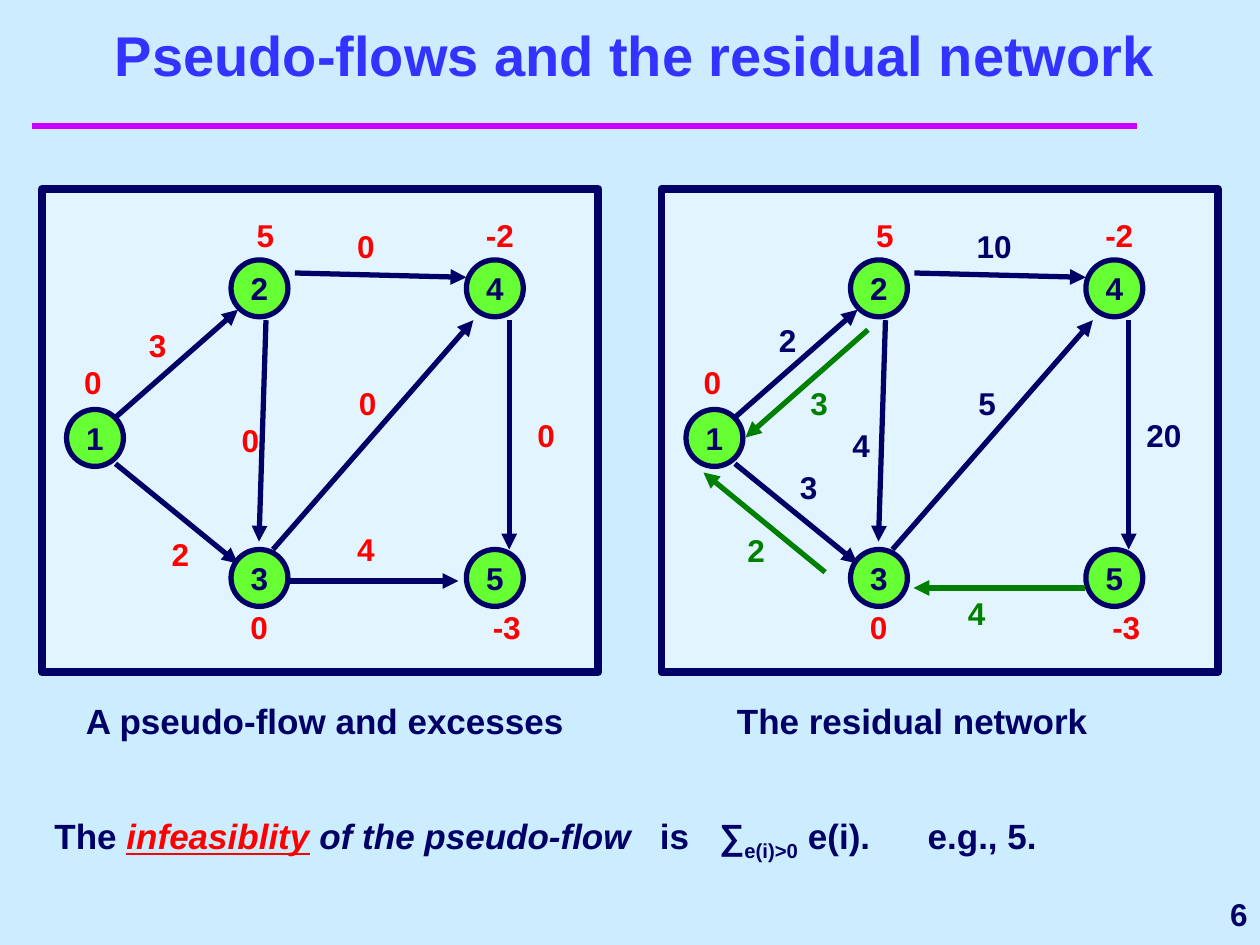
"""Build a slide comparing a pseudo-flow with its residual network."""
from lxml import etree
from pptx import Presentation
from pptx.dml.color import RGBColor
from pptx.enum.shapes import MSO_CONNECTOR, MSO_SHAPE
from pptx.enum.text import MSO_ANCHOR, PP_ALIGN
from pptx.oxml.ns import qn
from pptx.util import Pt

STRAIGHT = MSO_CONNECTOR.STRAIGHT
RECTANGLE, OVAL = MSO_SHAPE.RECTANGLE, MSO_SHAPE.OVAL
LEFT, CENTER, RIGHT = PP_ALIGN.LEFT, PP_ALIGN.CENTER, PP_ALIGN.RIGHT
TOP, MIDDLE, BOTTOM = MSO_ANCHOR.TOP, MSO_ANCHOR.MIDDLE, MSO_ANCHOR.BOTTOM

FONT = "Arial"
COLORS = {
    "background": "CCECFF", "title": "3333FF", "rule": "CC00FF",
    "panel": "E2F4FF", "node": "66FF33", "navy": "000066",
    "red": "FF0000", "green": "008000",
}
PANEL_OFFSET = 354
NODE_SIZE = 32.5
NODES = {"1": (38, 234), "2": (132, 148.5), "3": (132, 314),
         "4": (266.5, 148.5), "5": (266.5, 314)}
EXCESSES = [("0", 41, 204), ("5", 139.5, 120), ("-2", 270.5, 120),
            ("0", 136, 344), ("-3", 274.5, 344)]
SHARED_ARCS = [
    (66, 238.5, 136, 177), (168.5, 156, 266.5, 158.5),
    (291, 183, 291, 314), (156, 314, 270.5, 183),
    (66, 265, 136, 322), (152, 183, 148, 309.5),
]
FLOW_ARCS = [(164, 332, 262, 332)]
REVERSE_ARCS = [(117.5, 327, 48, 270), (142, 188.5, 72, 250),
                (266, 336, 168, 336)]
FLOWS = [("0", 197, 126), ("0", 300, 234), ("0", 198, 216),
         ("4", 197, 299.5), ("0", 131, 237), ("2", 91, 302),
         ("3", 78, 183)]
RESIDUALS = [("10", 197, 126), ("20", 294, 234), ("5", 198, 216),
             ("4", 126, 240), ("3", 96, 264), ("2", 84, 180)]
REVERSE_RESIDUALS = [("4", 192, 336), ("2", 66, 300), ("3", 102, 216)]


def rgb(name):
    """Return a palette colour."""
    return RGBColor.from_string(COLORS[name])


def add_run(paragraph, text, size, color="navy", italic=False, underline=False):
    """Append one bold run and return it."""
    run = paragraph.add_run()
    run.text = text
    font = run.font
    font.name, font.size, font.bold = FONT, Pt(size), True
    font.italic, font.underline = italic, underline
    font.color.rgb = rgb(color)
    return run


def prepare_text(shape, alignment=LEFT, anchor=TOP, wrap=True):
    """Set up a text frame and return its first paragraph."""
    frame = shape.text_frame
    frame.word_wrap, frame.vertical_anchor = wrap, anchor
    frame.margin_left = frame.margin_right = Pt(7.2)
    frame.margin_top = frame.margin_bottom = Pt(3.6)
    paragraph = frame.paragraphs[0]
    paragraph.alignment = alignment
    paragraph.space_before = Pt(0)
    return paragraph


def add_text(shapes, text, box, size=18, color="navy", alignment=LEFT, anchor=TOP):
    """Add a text box holding one run."""
    shape = shapes.add_textbox(*map(Pt, box))
    add_run(prepare_text(shape, alignment, anchor), text, size, color)


def add_labels(shapes, labels, color, offset):
    """Add the numbers beside nodes or arcs."""
    for text, left, top in labels:
        add_text(shapes, text, (left + offset, top, 40, 29), color=color)


def add_line(shapes, points, color, width, arrow=False):
    """Add a straight line, with an arrowhead on request."""
    connector = shapes.add_connector(STRAIGHT, *map(Pt, points))
    connector.line.color.rgb = rgb(color)
    connector.line.width = Pt(width)
    if arrow:
        head = etree.SubElement(connector.line._get_or_add_ln(), qn("a:tailEnd"))
        head.set("type", "triangle")
    etree.SubElement(connector._element.spPr, qn("a:effectLst"))


def add_arcs(shapes, arcs, color, offset):
    """Add the directed arcs of a network."""
    for x1, y1, x2, y2 in arcs:
        add_line(shapes, (x1 + offset, y1, x2 + offset, y2), color, 3, True)


def add_filled_shape(shapes, kind, box, fill, width):
    """Add a filled shape with a navy outline."""
    shape = shapes.add_shape(kind, *map(Pt, box))
    shape.shadow.inherit = False
    shape.fill.solid()
    shape.fill.fore_color.rgb = rgb(fill)
    shape.line.color.rgb = rgb("navy")
    shape.line.width = Pt(width)
    return shape


def add_network(slide, offset, arcs, labels, caption, caption_box):
    """Add a panel with its nodes, arcs, labels and caption."""
    shapes = slide.shapes.add_group_shape().shapes
    add_filled_shape(shapes, RECTANGLE, (24 + offset, 108, 318, 276), "panel", 4.5)
    for name, (left, top) in NODES.items():
        box = (left + offset, top, NODE_SIZE, NODE_SIZE)
        node = add_filled_shape(shapes, OVAL, box, "node", 3)
        add_run(prepare_text(node, CENTER, MIDDLE, False), name, 18)
    for color, group in arcs:
        add_arcs(shapes, group, color, offset)
    for color, group in labels:
        add_labels(shapes, group, color, offset)
    add_labels(shapes, EXCESSES, "red", offset)
    add_text(shapes, caption, caption_box, size=20)


def add_title(slide, text):
    """Place and format the title."""
    title = slide.shapes.title
    title.left, title.top, title.width, title.height = map(Pt, (30, 12, 666, 42))
    add_run(prepare_text(title, CENTER, BOTTOM), text, 32, "title")


def add_definition(slide):
    """Add the sentence that defines infeasibility."""
    shape = slide.shapes.add_textbox(*map(Pt, (24, 462, 600, 34.5)))
    paragraph = prepare_text(shape)
    tabs = etree.SubElement(paragraph._p.get_or_add_pPr(), qn("a:tabLst"))
    for position in (346, 380, 499):
        etree.SubElement(tabs, qn("a:tab"), pos=str(Pt(position)), algn="l")
    add_run(paragraph, "The ", 20)
    add_run(paragraph, "infeasiblity", 20, "red", italic=True, underline=True)
    add_run(paragraph, " of the pseudo-flow", 20, italic=True)
    add_run(paragraph, "\tis\t∑", 20)
    subscript = add_run(paragraph, "e(i)>0", 20)
    subscript.font._element.set("baseline", "-25000")
    add_run(paragraph, " e(i).\te.g., 5.", 20)


def main():
    """Build and save the presentation."""
    presentation = Presentation()
    presentation.slide_width, presentation.slide_height = Pt(720), Pt(540)
    slide = presentation.slides.add_slide(presentation.slide_layouts[5])
    slide.background.fill.solid()
    slide.background.fill.fore_color.rgb = rgb("background")
    add_line(slide.shapes, (18, 72, 650, 72), "rule", 4)
    add_title(slide, "Pseudo-flows and the residual network")
    add_network(slide, 0, [("navy", SHARED_ARCS + FLOW_ARCS)],
                [("red", FLOWS)],
                "A pseudo-flow and excesses", (42, 396, 294, 31.5))
    add_network(slide, PANEL_OFFSET,
                [("navy", SHARED_ARCS), ("green", REVERSE_ARCS)],
                [("navy", RESIDUALS), ("green", REVERSE_RESIDUALS)],
                "The residual network", (414, 396, 240, 31.5))
    add_definition(slide)
    add_text(slide.shapes, "6", (582, 504, 138, 36), alignment=RIGHT, anchor=MIDDLE)
    presentation.save("out.pptx")


if __name__ == "__main__":
    main()
